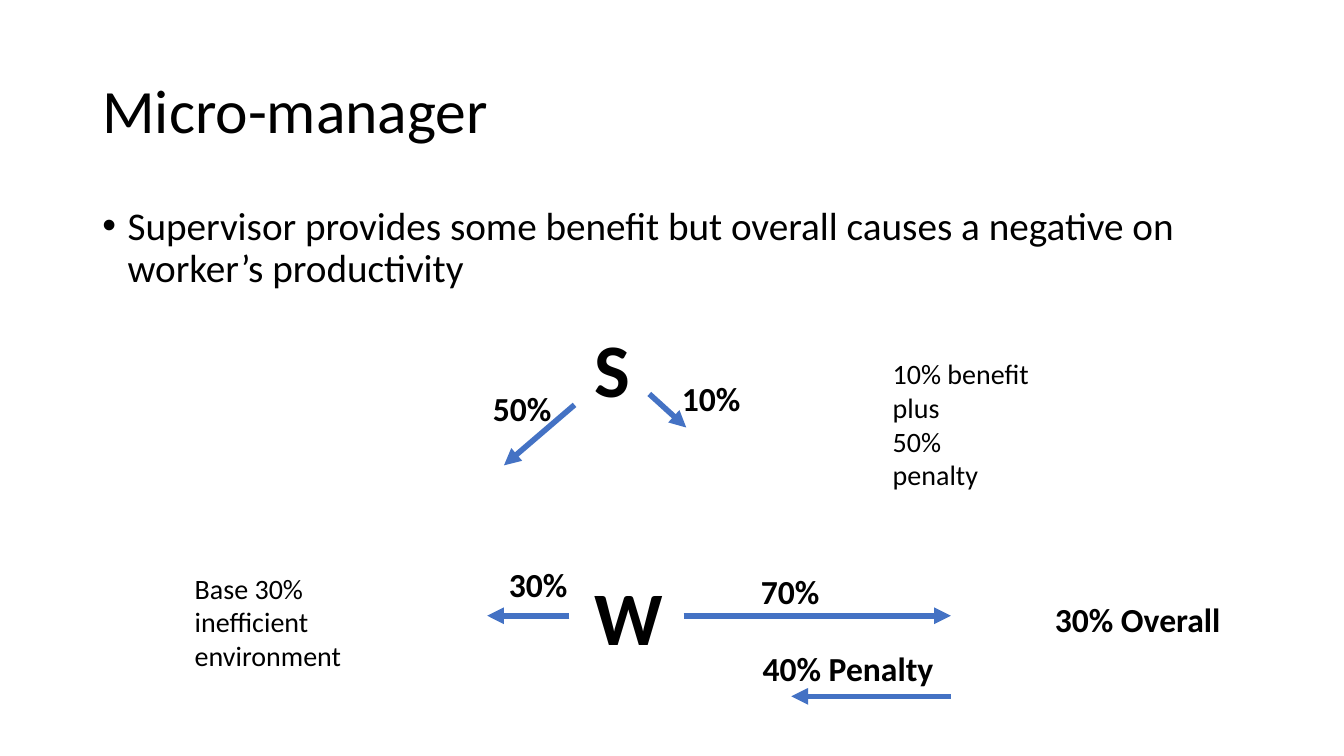
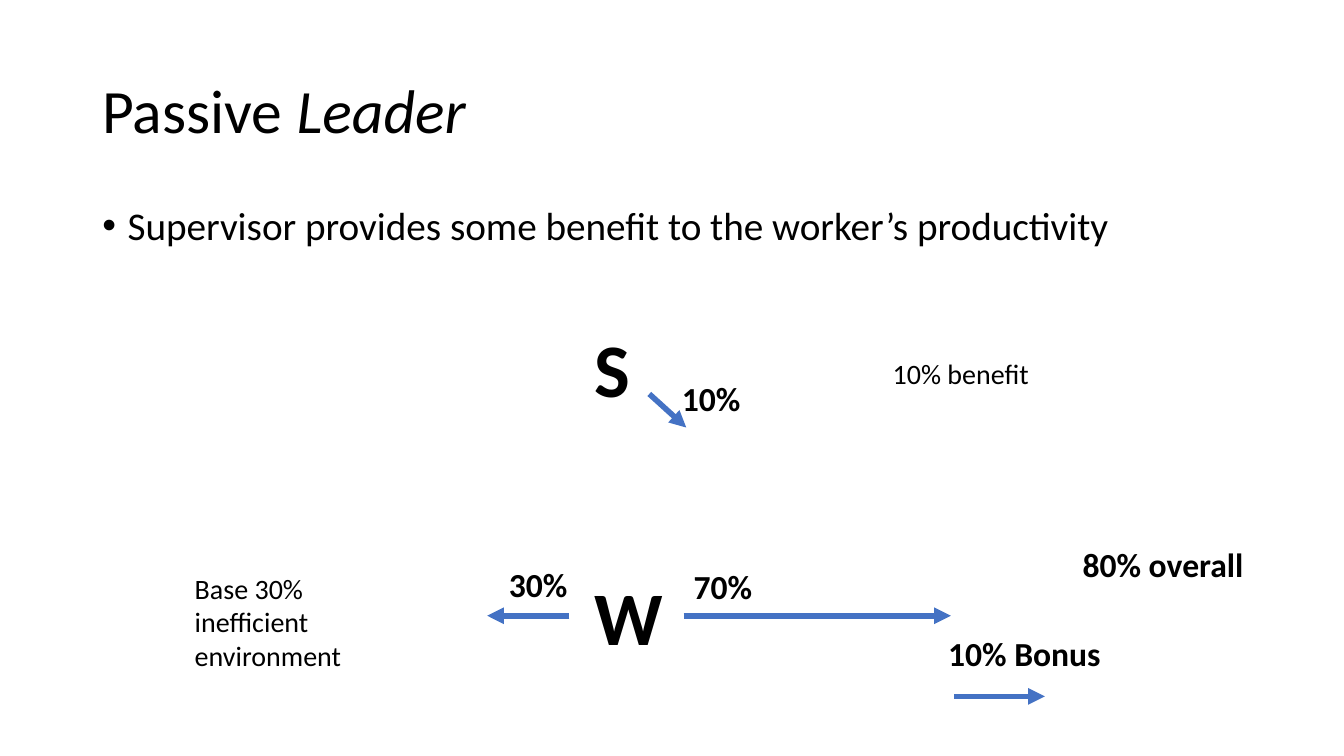
from lxml import etree
from pptx import Presentation
from pptx.dml.color import RGBColor
from pptx.enum.shapes import MSO_CONNECTOR
from pptx.enum.text import MSO_ANCHOR, MSO_AUTO_SIZE, PP_ALIGN
from pptx.oxml.ns import qn
from pptx.util import Inches, Pt

STRAIGHT = MSO_CONNECTOR.STRAIGHT
TOP, MIDDLE = MSO_ANCHOR.TOP, MSO_ANCHOR.MIDDLE
LEFT, CENTER = PP_ALIGN.LEFT, PP_ALIGN.CENTER
GROW, FIXED = MSO_AUTO_SIZE.SHAPE_TO_FIT_TEXT, MSO_AUTO_SIZE.NONE

COLUMNS, ROWS = 16, 9
WIDTH, HEIGHT = Inches(13.333), Inches(7.5)
FONT, INK, ARROW = "Calibri", "000000", "4472C4"
TITLE_SIZE, BODY_SIZE, ACTOR_SIZE, LABEL_SIZE, NOTE_SIZE = 44, 28, 54, 24, 20
MARGIN, CONTENT_WIDTH = 1.1, 13.8
ACTOR_HEIGHT, LABEL_HEIGHT, NOTE_LINE = 1.21, 0.6, 0.42
PERCENT_WIDTH = 0.95
WORK_ROW, RESULT_ROW = 7.33, 8.29
WORK_END = 11.32


def color(hex_code):
    return RGBColor.from_string(hex_code)


def col(count):
    return round(WIDTH * count / COLUMNS)


def row(count):
    return round(HEIGHT * count / ROWS)


def add_text(slide, area, lines, size, bold=False, align=LEFT, anchor=TOP,
             wrap=False, fit=GROW):
    left, top, width, height = area
    box = slide.shapes.add_textbox(col(left), row(top), col(width), row(height))
    frame = box.text_frame
    frame.word_wrap = wrap
    frame.auto_size = fit
    frame.vertical_anchor = anchor
    for index, runs in enumerate(lines):
        paragraph = frame.paragraphs[0] if index == 0 else frame.add_paragraph()
        paragraph.alignment = align
        for text, italic in runs:
            run = paragraph.add_run()
            run.text = text
            run.font.name = FONT
            run.font.size = Pt(size)
            run.font.bold = bold
            run.font.italic = italic
            run.font.color.rgb = color(INK)
    return frame


def plain(*lines):
    return [[(line, False)] for line in lines]


def add_title(slide, runs):
    area = (MARGIN, 0.48, CONTENT_WIDTH, 1.74)
    frame = add_text(slide, area, [runs], TITLE_SIZE, anchor=MIDDLE,
                     wrap=True, fit=FIXED)
    frame.paragraphs[0].line_spacing = 0.9


def add_bullet(slide, statement):
    area = (MARGIN, 2.4, CONTENT_WIDTH, 1.52)
    frame = add_text(slide, area, plain(statement), BODY_SIZE,
                     wrap=True, fit=FIXED)
    paragraph = frame.paragraphs[0]
    paragraph.line_spacing = 0.9
    paragraph.space_before = Pt(10)
    properties = paragraph._p.get_or_add_pPr()
    properties.set("marL", str(Inches(0.25)))
    properties.set("indent", str(-Inches(0.25)))
    etree.SubElement(properties, qn("a:buFont")).set("typeface", "Arial")
    etree.SubElement(properties, qn("a:buChar")).set("char", "•")


def add_actor(slide, letter, left, top, width, wrap=False):
    add_text(slide, (left, top, width, ACTOR_HEIGHT), plain(letter),
             ACTOR_SIZE, bold=True, align=CENTER, wrap=wrap)


def add_label(slide, text, left, top, width=PERCENT_WIDTH):
    add_text(slide, (left, top, width, LABEL_HEIGHT), plain(text),
             LABEL_SIZE, bold=True)


def add_note(slide, lines, left, top, width):
    add_text(slide, (left, top, width, NOTE_LINE * len(lines)),
             plain(*lines), NOTE_SIZE)


def add_arrow(slide, start, end):
    arrow = slide.shapes.add_connector(
        STRAIGHT, col(start[0]), row(start[1]), col(end[0]), row(end[1]))
    arrow.line.color.rgb = color(ARROW)
    arrow.line.width = Pt(4)
    etree.SubElement(arrow.line._get_or_add_ln(),
                     qn("a:tailEnd")).set("type", "triangle")
    etree.SubElement(arrow._element.spPr, qn("a:effectLst"))


def add_leadership_slide(deck, title_runs, statement, output_label, benefit):
    slide = deck.slides.add_slide(deck.slide_layouts[6])
    add_title(slide, title_runs)
    add_bullet(slide, statement)
    add_arrow(slide, (8.14, WORK_ROW), (WORK_END, WORK_ROW))
    add_arrow(slide, (6.78, WORK_ROW), (5.8, WORK_ROW))
    add_arrow(slide, (7.73, 4.69), (8.17, 5.09))
    add_actor(slide, "S", 6.84, 3.77, 0.91, wrap=True)
    add_actor(slide, "W", 6.95, 6.72, 1.07)
    add_label(slide, "70%", *output_label)
    add_label(slide, "30%", 5.94, 6.66)
    add_label(slide, "10%", 8, 4.44)
    add_note(slide, benefit, 10.51, 4.19, 1.9)
    add_note(slide, ["Base 30%", "inefficient", "environment"], 2.2, 6.74, 2)
    return slide


def add_micro_manager(deck):
    slide = add_leadership_slide(
        deck, [("Micro-manager", False)],
        "Supervisor provides some benefit but overall causes a negative on "
        "worker’s productivity",
        (8.94, 6.74), ["10% benefit", "plus", "50% penalty"])
    add_arrow(slide, (6.84, 4.82), (6, 5.54))
    add_label(slide, "50%", 5.75, 4.56)
    add_arrow(slide, (WORK_END, RESULT_ROW), (9.42, RESULT_ROW))
    add_label(slide, "40% Penalty", 8.96, 7.66, 2.29)
    add_label(slide, "30% Overall", 12.44, 7.07, 2.23)


def add_passive_leader(deck):
    slide = add_leadership_slide(
        deck, [("Passive ", False), ("Leader", True)],
        "Supervisor provides some benefit to the worker’s productivity",
        (8.14, 6.68), ["10% benefit"])
    add_arrow(slide, (11.36, RESULT_ROW), (12.44, RESULT_ROW))
    add_label(slide, "10% Bonus", 11.17, 7.48, 2.08)
    add_label(slide, "80% overall", 12.77, 6.42, 2.17)


def main():
    deck = Presentation()
    deck.slide_width, deck.slide_height = WIDTH, HEIGHT
    add_micro_manager(deck)
    add_passive_leader(deck)
    deck.save("out.pptx")


if __name__ == "__main__":
    main()
